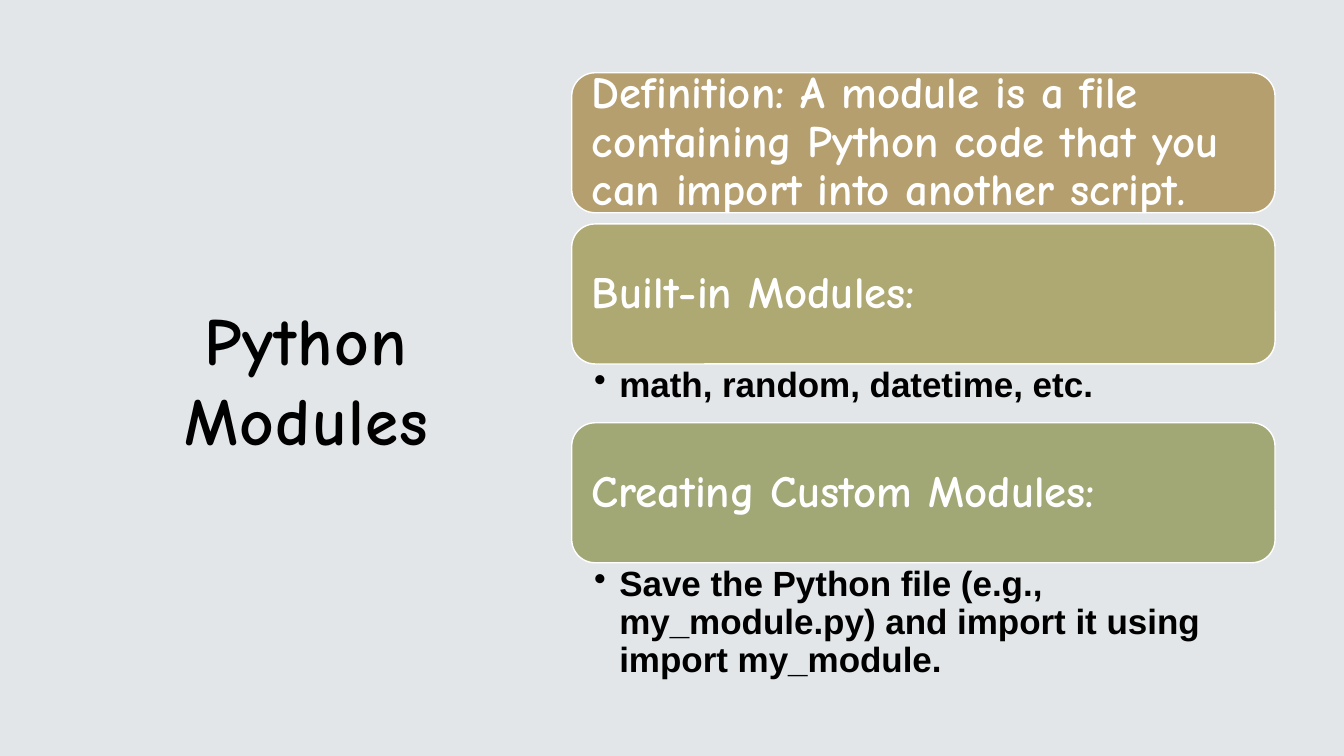
from pptx import Presentation
from pptx.dml.color import RGBColor
from pptx.enum.shapes import MSO_SHAPE
from pptx.enum.text import MSO_ANCHOR, PP_ALIGN
from pptx.oxml import parse_xml
from pptx.oxml.ns import nsdecls
from pptx.util import Pt

ROUNDED = MSO_SHAPE.ROUNDED_RECTANGLE
TOP, MIDDLE = MSO_ANCHOR.TOP, MSO_ANCHOR.MIDDLE
LEFT, CENTER = PP_ALIGN.LEFT, PP_ALIGN.CENTER

CARD_LEFT, CARD_WIDTH, CARD_HEIGHT = 408.4, 502.4, 100
STACK_TOP, CARD_GAP = 52, 8

SECTIONS = [
    ("Definition: A module is a file containing Python code that you can "
     "import into another script.", "B59F6F", None, CARD_GAP),
    ("Built-in Modules:", "AEA872", "math, random, datetime, etc.", 42),
    ("Creating Custom Modules:", "A2A776",
     "Save the Python file (e.g., my_module.py) and import it using "
     "import my_module.", 86.4),
]


def rgb(value):
    return RGBColor.from_string(value)


def write(tf, text, size=32, font="Comic Neue", color="000000", align=LEFT,
          anchor=MIDDLE, insets=(7.2, 3.6, 7.2, 3.6), line=0.9, tracking=0,
          bullet=False):
    tf.word_wrap = True
    tf.vertical_anchor = anchor
    (tf.margin_left, tf.margin_top,
     tf.margin_right, tf.margin_bottom) = map(Pt, insets)
    p = tf.paragraphs[0]
    p.alignment = align
    p.line_spacing = line
    if bullet:
        pPr = p._p.get_or_add_pPr()
        pPr.set("marL", str(Pt(18)))
        pPr.set("indent", str(-Pt(18)))
        pPr.append(parse_xml(f'<a:buChar {nsdecls("a")} char="•"/>'))
    r = p.add_run()
    r.text = text
    r.font.size = Pt(size)
    r.font.name = font
    r.font.bold = True
    r.font.color.rgb = rgb(color)
    if tracking:
        r._r.get_or_add_rPr().set("spc", str(tracking * 100))


class Deck:
    background = "E2E6E8"
    light = "FFFFFF"

    def __init__(self):
        self.prs = Presentation()
        self.prs.slide_width, self.prs.slide_height = Pt(960), Pt(540)
        self.s = self.prs.slides.add_slide(self.prs.slide_layouts[6])
        fill = self.s.background.fill
        fill.solid()
        fill.fore_color.rgb = rgb(self.background)

    def text(self, text, *box, **style):
        sp = self.s.shapes.add_textbox(*map(Pt, box))
        write(sp.text_frame, text, **style)

    def card(self, text, color, *box):
        sp = self.s.shapes.add_shape(ROUNDED, *map(Pt, box))
        sp.shadow.inherit = False
        sp.fill.solid()
        sp.fill.fore_color.rgb = rgb(color)
        sp.line.color.rgb = rgb(self.light)
        sp.line.width = Pt(1)
        write(sp.text_frame, text, color=self.light, insets=(9.6,) * 4)

    def bullet(self, text, *box):
        self.text(text, *box, size=25, font="Arial", anchor=TOP,
                  insets=(16, 2.5, 18, 2.5), bullet=True)


def main():
    deck = Deck()
    deck.text("Python Modules", 70, 77, 298, 387, size=48, align=CENTER,
              line=1.0, tracking=1)
    top = STACK_TOP
    for heading, color, detail, below in SECTIONS:
        deck.card(heading, color, CARD_LEFT, top, CARD_WIDTH, CARD_HEIGHT)
        top += CARD_HEIGHT
        if detail:
            deck.bullet(detail, CARD_LEFT, top, CARD_WIDTH, below)
        top += below
    deck.prs.save("out.pptx")


if __name__ == "__main__":
    main()
